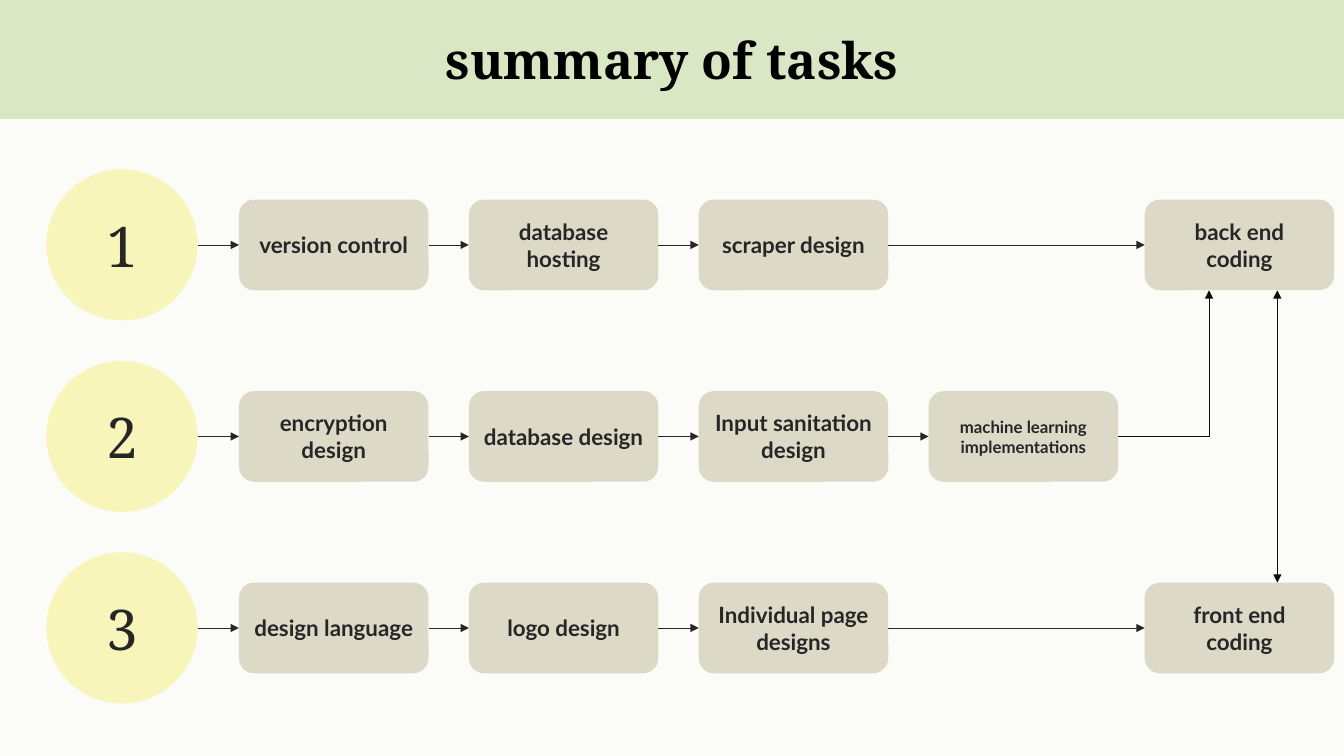
import pptx
import pptx.dml.color
import pptx.enum.shapes
import pptx.enum.text
import pptx.oxml.ns
import pptx.util
from lxml import etree

COLORS = {
    "background": "FBFCF7",
    "banner": "D9E7C5",
    "circle": "F7F5B9",
    "task": "DCDAC7",
    "text": "262626",
    "title": "000000",
    "link": "0D0D0D",
}
SLIDE_WIDTH, SLIDE_HEIGHT = 13.33, 7.5
COLUMN, ROW = 2.28, 1.9
FIRST_COLUMN, FIRST_ROW = 2.37, 1.98
TASK_WIDTH, TASK_HEIGHT = 1.88, 0.9
CIRCLE_LEFT, CIRCLE_SIZE = 0.46, 1.5
CODING_COLUMN = 3.94
SHAPES = pptx.enum.shapes.MSO_SHAPE
LANES = [
    [(0, "version control", 16), (1, "database hosting", 16),
     (2, "scraper design", 16), (CODING_COLUMN, "back end\vcoding", 16)],
    [(0, "encryption design", 16), (1, "database design", 16),
     (2, "Input sanitation design", 16), (3, "machine learning implementations", 12)],
    [(0, "design language", 16), (1, "logo design", 16),
     (2, "Individual page designs", 16), (CODING_COLUMN, "front end\vcoding", 16)],
]


def rgb(name):
    """Return the named palette colour."""
    return pptx.dml.color.RGBColor.from_string(COLORS[name])


def inches(*lengths):
    """Convert lengths in inches to slide units."""
    return [pptx.util.Inches(length) for length in lengths]


def write(holder, text, font, size, color, bold=False):
    """Put one centred, formatted paragraph into a shape."""
    frame = holder.text_frame
    frame.word_wrap = True
    frame.vertical_anchor = pptx.enum.text.MSO_ANCHOR.MIDDLE
    paragraph = frame.paragraphs[0]
    paragraph.text = text
    paragraph.alignment = pptx.enum.text.PP_ALIGN.CENTER
    for run in paragraph.runs:
        run.font.name = font
        run.font.size = pptx.util.Pt(size)
        run.font.bold = bold
        run.font.color.rgb = rgb(color)


def add_panel(slide, kind, box, fill):
    """Add a flat filled shape without outline."""
    panel = slide.shapes.add_shape(kind, *inches(*box))
    panel.shadow.inherit = False
    panel.fill.solid()
    panel.fill.fore_color.rgb = rgb(fill)
    panel.line.fill.background()
    return panel


def add_arrow(slide, start, end, color="text", ends=("tailEnd",), bent=False):
    """Draw a thin straight or single-bend arrow."""
    kinds = pptx.enum.shapes.MSO_CONNECTOR
    kind = kinds.ELBOW if bent else kinds.STRAIGHT
    arrow = slide.shapes.add_connector(kind, *inches(*start, *end))
    arrow.line.color.rgb = rgb(color)
    arrow.line.width = pptx.util.Pt(0.5)
    properties = arrow._element.spPr
    if bent:
        properties.find(pptx.oxml.ns.qn("a:prstGeom")).set("prst", "bentConnector2")
    outline = properties.find(pptx.oxml.ns.qn("a:ln"))
    for tip in ends:
        etree.SubElement(outline, pptx.oxml.ns.qn(f"a:{tip}"), type="triangle")
    etree.SubElement(properties, pptx.oxml.ns.qn("a:effectLst"))


def add_banner(slide, left, top, width, height):
    """Add the title band."""
    add_panel(slide, SHAPES.RECTANGLE, (left, top, width, height), "banner")
    title = slide.shapes.add_textbox(
        *inches(left, top + 0.2 * height, width, 0.6 * height))
    write(title, "summary of tasks", "Noto Serif", 36, "title", True)


def add_lane(slide, top, number, tasks):
    """Add a numbered circle and its chain of tasks."""
    middle = top + TASK_HEIGHT / 2
    circle = add_panel(
        slide, SHAPES.OVAL,
        (CIRCLE_LEFT, middle - CIRCLE_SIZE / 2, CIRCLE_SIZE, CIRCLE_SIZE), "circle")
    write(circle, str(number), "Noto Serif", 40, "text")
    previous_right = CIRCLE_LEFT + CIRCLE_SIZE
    for column, label, size in tasks:
        left = FIRST_COLUMN + column * COLUMN
        task = add_panel(slide, SHAPES.ROUNDED_RECTANGLE,
                         (left, top, TASK_WIDTH, TASK_HEIGHT), "task")
        write(task, label, "Lato", size, "text", True)
        add_arrow(slide, (previous_right, middle), (left, middle))
        previous_right = left + TASK_WIDTH


def add_cross_links(slide, left, top):
    """Join the coding boxes and the machine learning task."""
    bottom = top + TASK_HEIGHT
    learning_right = FIRST_COLUMN + 3 * COLUMN + TASK_WIDTH
    learning_middle = top + ROW + TASK_HEIGHT / 2
    add_arrow(slide, (learning_right, learning_middle),
              (left + 0.34 * TASK_WIDTH, bottom), "link", bent=True)
    exchange = left + 0.7 * TASK_WIDTH
    add_arrow(slide, (exchange, bottom), (exchange, top + 2 * ROW),
              "link", ("headEnd", "tailEnd"))


def main():
    """Build and save the task summary."""
    deck = pptx.Presentation()
    deck.slide_width, deck.slide_height = inches(SLIDE_WIDTH, SLIDE_HEIGHT)
    slide = deck.slides.add_slide(deck.slide_layouts[6])
    slide.background.fill.solid()
    slide.background.fill.fore_color.rgb = rgb("background")
    add_banner(slide, 0, 0, SLIDE_WIDTH, 1.18)
    for index, tasks in enumerate(LANES):
        add_lane(slide, FIRST_ROW + index * ROW, index + 1, tasks)
    add_cross_links(slide, FIRST_COLUMN + CODING_COLUMN * COLUMN, FIRST_ROW)
    deck.save("out.pptx")


if __name__ == "__main__":
    main()
